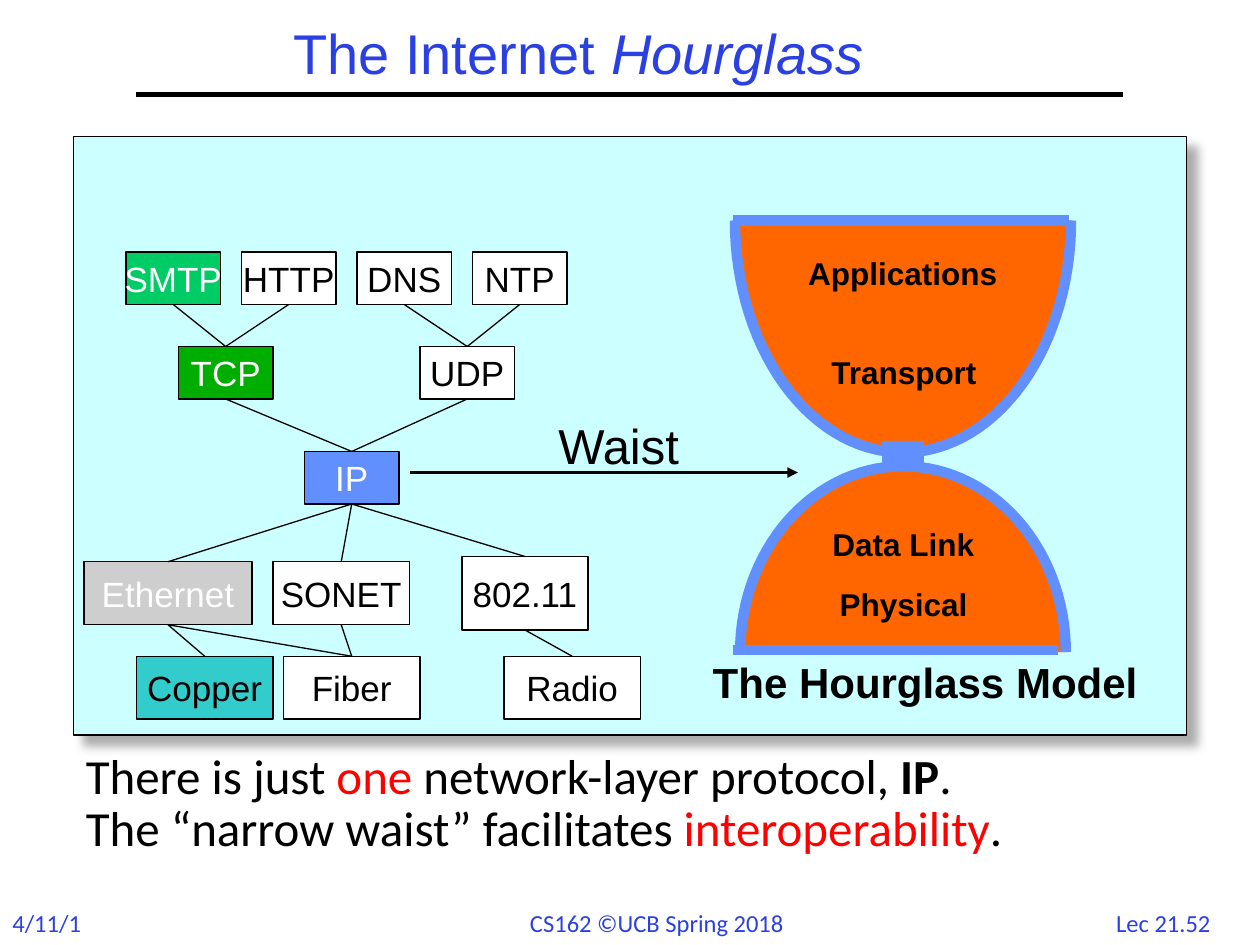
from dataclasses import dataclass
from math import cos, pi, sin

from lxml.etree import SubElement
from pptx import Presentation
from pptx.dml.color import RGBColor
from pptx.enum.shapes import MSO_CONNECTOR, MSO_SHAPE
from pptx.enum.text import MSO_ANCHOR, MSO_AUTO_SIZE, PP_ALIGN
from pptx.oxml.ns import qn
from pptx.util import Pt

EMU_PER_PX = 7620


@dataclass(frozen=True)
class Theme:
    """Colours, fonts and type sizes of the slide."""
    blue: str = "2A40E2"
    black: str = "000000"
    white: str = "FFFFFF"
    red: str = "FF0000"
    panel: str = "CCFFFF"
    shadow: str = "919191"
    orange: str = "FF6600"
    waist: str = "618FFD"
    mint: str = "00CC66"
    green: str = "00AE00"
    grey: str = "CECECE"
    teal: str = "33CCCC"
    sans: str = "Arial"
    body: str = "Calibri"
    title_size: int = 32
    body_size: int = 28
    model_size: int = 24
    node_size: int = 20
    layer_size: int = 18
    footer_size: int = 14


THEME = Theme()


def px(*lengths):
    """Turn pixel lengths into EMU."""
    return [round(length * EMU_PER_PX) for length in lengths]


def inside(box, left, top, width, height):
    """Return a rectangle in slide pixels from one relative to a box."""
    return box[0] + left, box[1] + top, width, height


def add_run(paragraph, text, size, color, font, bold=False, italic=False):
    """Add one formatted run."""
    run = paragraph.add_run()
    run.text = text
    run.font.size = Pt(size)
    run.font.name = font
    run.font.bold = bold
    run.font.italic = italic
    run.font.color.rgb = RGBColor.from_string(color)


def add_label(slide, box, text, size, color=THEME.black, font=THEME.sans,
              bold=False, align=PP_ALIGN.LEFT, wrap=True):
    """Add a text box with one run."""
    frame = slide.shapes.add_textbox(*px(*box)).text_frame
    frame.word_wrap = wrap
    frame.paragraphs[0].alignment = align
    add_run(frame.paragraphs[0], text, size, color, font, bold)


def paint(shape, fill, line=None, width=0.75):
    """Set fill and line of a shape and drop its shadow."""
    shape.shadow.inherit = False
    shape.fill.solid()
    shape.fill.fore_color.rgb = RGBColor.from_string(fill)
    if line is None:
        shape.line.fill.background()
    else:
        shape.line.color.rgb = RGBColor.from_string(line)
        shape.line.width = Pt(width)


def add_rectangle(slide, box, fill, line=None):
    """Add a painted rectangle."""
    shape = slide.shapes.add_shape(MSO_SHAPE.RECTANGLE, *px(*box))
    paint(shape, fill, line)
    return shape


def add_line(slide, start, end, color=THEME.black, width=0.75, arrow=False):
    """Add a straight line without a shadow."""
    line = slide.shapes.add_connector(MSO_CONNECTOR.STRAIGHT, *px(*start, *end))
    line.line.color.rgb = RGBColor.from_string(color)
    line.line.width = Pt(width)
    properties = line.element.spPr
    if arrow:
        SubElement(properties.find(qn("a:ln")), qn("a:tailEnd"), type="triangle")
    SubElement(properties, qn("a:effectLst"))
    return line


def build_header(slide, box):
    """Place the title and the rule under it."""
    left, top, width, height = box
    title = slide.shapes.title
    title.left, title.top, title.width, title.height = px(left, top, width, height)
    frame = title.text_frame
    frame.auto_size = MSO_AUTO_SIZE.NONE
    frame.vertical_anchor = MSO_ANCHOR.MIDDLE
    paragraph = frame.paragraphs[0]
    paragraph.alignment = PP_ALIGN.CENTER
    paragraph.line_spacing = 0.9
    for text, italic in (("The Internet ", False), ("Hourglass", True)):
        add_run(paragraph, text, THEME.title_size, THEME.blue, THEME.sans, italic=italic)
    add_line(slide, (left + 68, top + 82), (left + 1008, top + 82), width=3)


def build_panel(slide, box):
    """Place the shadowed background panel."""
    panel = add_rectangle(slide, box, THEME.panel, THEME.black)
    effects = panel.element.spPr.find(qn("a:effectLst"))
    shadow = SubElement(effects, qn("a:outerShdw"), blurRad=str(Pt(5)),
                        dist=str(Pt(8.5)), dir="2700000", algn="tl", rotWithShape="0")
    color = SubElement(shadow, qn("a:srgbClr"), val=THEME.shadow)
    SubElement(color, qn("a:alpha"), val="75000")


def build_protocols(slide, box):
    """Place the protocol boxes and join them layer by layer."""
    small, medium, dark, light = (90, 50), (130, 60), THEME.black, THEME.white
    applications = ("SMTP", "HTTP", "DNS", "NTP")
    nodes = [(name, 50 + 110 * column, 110, small, light, dark)
             for column, name in enumerate(applications)]
    nodes[0] = ("SMTP", 50, 110, small, THEME.mint, light)
    nodes += [
        ("TCP", 100, 200, small, THEME.green, light),
        ("UDP", 330, 200, small, light, dark),
        ("IP", 220, 300, small, THEME.waist, light),
        ("Ethernet", 10, 405, (160, 60), THEME.grey, light),
        ("SONET", 190, 405, medium, light, dark),
        ("802.11", 370, 400, (120, 70), light, dark),
        ("Copper", 60, 495, medium, THEME.teal, dark),
        ("Fiber", 200, 495, medium, light, dark),
        ("Radio", 410, 495, medium, light, dark),
    ]
    shapes = {}
    for name, left, top, size, fill, color in nodes:
        shape = add_rectangle(slide, inside(box, left, top, *size), fill, THEME.black)
        frame = shape.text_frame
        frame.word_wrap = False
        frame.vertical_anchor = MSO_ANCHOR.MIDDLE
        frame.paragraphs[0].alignment = PP_ALIGN.CENTER
        add_run(frame.paragraphs[0], name, THEME.node_size, color, THEME.sans)
        shapes[name] = shape
    links = {
        "SMTP": ["TCP"], "HTTP": ["TCP"], "DNS": ["UDP"], "NTP": ["UDP"],
        "TCP": ["IP"], "UDP": ["IP"], "IP": ["Ethernet", "SONET", "802.11"],
        "Ethernet": ["Copper", "Fiber"], "SONET": ["Fiber"], "802.11": ["Radio"],
    }
    for upper, lowers in links.items():
        for lower in lowers:
            link = add_line(slide, (0, 0), (0, 0))
            link.begin_connect(shapes[upper], 2)
            link.end_connect(shapes[lower], 0)


def build_waist_arrow(slide, box):
    """Place the arrow from IP to the waist with its label."""
    left, top, width, height = box
    add_line(slide, (left, top + height), (left + width, top + height),
             width=2, arrow=True)
    add_label(slide, inside(box, 130, 0, 210, 68), "Waist", THEME.body_size)


def add_bulb(slide, center, base, radius, rise):
    """Add half an ellipse that stands on its base or hangs from it."""
    steps = 60
    points = [px(center - radius * cos(pi * step / steps),
                 base + rise * sin(pi * step / steps)) for step in range(steps + 1)]
    builder = slide.shapes.build_freeform(*points[0])
    builder.add_line_segments(points[1:], close=False)
    paint(builder.convert_to_shape(), THEME.orange, THEME.waist, 6)


def build_hourglass(slide, box):
    """Place the two bulbs, the neck and the layer names."""
    left, top, width, height = box
    center = left + width // 2
    add_bulb(slide, center, top + height, 155, -177)
    add_bulb(slide, center, top, 160, 221)
    for offset, length in ((0, 320), (409, 310)):
        add_line(slide, (left, top + offset), (left + length, top + offset),
                 THEME.waist, 6)
    add_rectangle(slide, inside(box, 142, 210, 40, 29), THEME.waist)
    for name, x, y in (("Applications", 60, 26), ("Transport", 82, 120),
                       ("Data Link", 83, 284), ("Physical", 90, 341)):
        add_label(slide, inside(box, x, y, 266, 60), name, THEME.layer_size, bold=True)
    add_label(slide, inside(box, -31, 409, 433, 61), "The Hourglass Model",
              THEME.model_size, bold=True, wrap=False)


def build_summary(slide, box):
    """Place the two closing statements."""
    frame = slide.shapes.add_textbox(*px(*box)).text_frame
    frame.word_wrap = True
    statements = (
        (("There is just ", THEME.black, False), ("one", THEME.red, False),
         (" network-layer protocol, ", THEME.black, False),
         ("IP", THEME.black, True), (".", THEME.black, False)),
        (("The “narrow waist” facilitates ", THEME.black, False),
         ("interoperability", THEME.red, False), (".", THEME.black, False)),
    )
    for index, runs in enumerate(statements):
        paragraph = frame.add_paragraph() if index else frame.paragraphs[0]
        paragraph.line_spacing = 0.9 if index else 1.0
        for text, color, bold in runs:
            add_run(paragraph, text, THEME.body_size, color, THEME.body, bold)


def build_footer(slide, box):
    """Place date, course and lecture number."""
    for text, left, width, align in (
            ("4/11/18", 0, 96, PP_ALIGN.LEFT),
            ("CS162 ©UCB Spring 2018", 493, 276, PP_ALIGN.LEFT),
            ("Lec 21.52", 1046, 124, PP_ALIGN.CENTER)):
        add_label(slide, inside(box, left, 0, width, box[3]), text, THEME.footer_size,
                  THEME.blue, THEME.body, align=align, wrap=False)


def main():
    """Build and save the slide."""
    presentation = Presentation()
    presentation.slide_width, presentation.slide_height = px(1200, 900)
    slide = presentation.slides.add_slide(presentation.slide_layouts[5])
    panel = (70, 130, 1060, 570)
    build_header(slide, (62, 8, 978, 92))
    build_panel(slide, panel)
    build_waist_arrow(slide, (390, 390, 370, 60))
    build_hourglass(slide, (698, 210, 324, 411))
    build_protocols(slide, panel)
    build_summary(slide, (70, 704, 1010, 125))
    build_footer(slide, (0, 859, 1200, 41))
    presentation.save("out.pptx")


if __name__ == "__main__":
    main()
